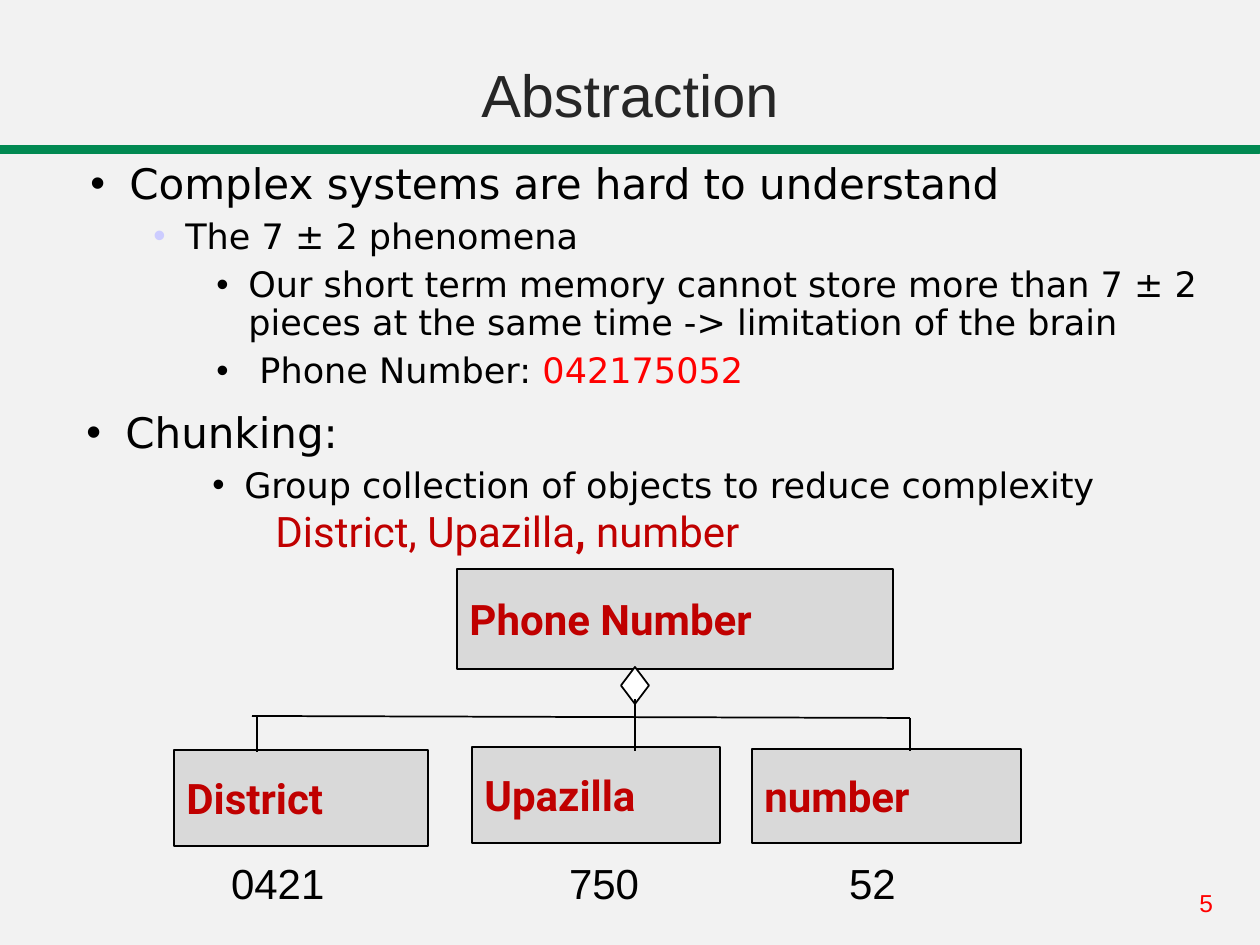
from lxml import etree
from pptx import Presentation
from pptx import util as u
from pptx.dml.color import RGBColor
from pptx.enum import shapes, text
from pptx.oxml.ns import qn

SCALE = 914400 / 126  # EMU in one px
BLACK, RED, DARK_RED = "000000", "FF0000", "C00000"


def px(length):
    return u.Emu(round(length * SCALE))


def color(hex_string):
    return RGBColor.from_string(hex_string)


def set_font(font, name, size, hex_string, bold=False):
    font.name, font.size, font.bold = name, u.Pt(size), bold
    font.color.rgb = color(hex_string)


def add_text_box(slide, box):
    frame = slide.shapes.add_textbox(*map(px, box)).text_frame
    frame.word_wrap = True
    return frame


def add_block(parent, kind, box, fill, line=BLACK, width=1):
    shape = parent.shapes.add_shape(kind, *map(px, box))
    shape.shadow.inherit = False
    shape.fill.solid()
    shape.fill.fore_color.rgb = color(fill)
    shape.line.color.rgb = color(line)
    shape.line.width = u.Pt(width)
    return shape


def add_line(parent, start, end):
    line = parent.shapes.add_connector(
        shapes.MSO_CONNECTOR.STRAIGHT, *map(px, start + end))
    line.line.color.rgb = color(BLACK)
    line.line.width = u.Pt(1)
    etree.SubElement(line._element.spPr, qn("a:effectLst"))


def set_indent(paragraph, margin, hanging, bullet_color=None):
    properties = paragraph._p.get_or_add_pPr()
    properties.set("marL", str(px(margin)))
    properties.set("indent", str(-px(hanging)))
    if bullet_color:
        holder = etree.SubElement(properties, qn("a:buClr"))
        etree.SubElement(holder, qn("a:srgbClr"), val=bullet_color)
        etree.SubElement(properties, qn("a:buFont"), typeface="Arial")
        etree.SubElement(properties, qn("a:buChar"), char="•")


def add_header(slide, box):
    left, top, width, height = box
    # Green band under the title
    add_block(slide, shapes.MSO_SHAPE.RECTANGLE, (left, top + 147, width, 6),
              "018952", "018952", 1.75)
    title = slide.shapes.title
    title.left, title.top, title.width, title.height = map(px, (left, top, width, height))
    frame = title.text_frame
    frame.text = "Abstraction"
    frame.auto_size = text.MSO_AUTO_SIZE.NONE
    frame.vertical_anchor = text.MSO_ANCHOR.BOTTOM
    paragraph = frame.paragraphs[0]
    paragraph.alignment = text.PP_ALIGN.CENTER
    set_font(paragraph.font, "Arial", 34, "262626")


def add_bullets(slide, box, items):
    """Fill a box with (level, text) items; return its text frame."""
    # level: (margin, hanging, size, space before, bullet colour)
    styles = {0: (39, 39, 24, 7, BLACK),
              1: (95, 32, 20, 6, "CCCCFF"),
              2: (158, 32, 20, 6, BLACK)}
    frame = add_text_box(slide, box)
    for index, (level, wording) in enumerate(items):
        paragraph = frame.add_paragraph() if index else frame.paragraphs[0]
        margin, hanging, size, before, bullet_color = styles[level]
        paragraph.level = level
        paragraph.line_spacing = 0.9
        paragraph.space_before = u.Pt(before)
        set_indent(paragraph, margin, hanging, bullet_color)
        paragraph.add_run().text = wording
        set_font(paragraph.font, "DejaVu Sans", size, BLACK)
    return frame


def add_complexity(slide, box):
    frame = add_bullets(slide, box, [
        (0, "Complex systems are hard to understand"),
        (1, "The 7 ± 2 phenomena"),
        (2, "Our short term memory cannot store more than 7 ± 2 pieces "
            "at the same time -> limitation of the brain"),
        (2, " Phone Number: ")])
    number = frame.paragraphs[-1].add_run()
    number.text = "042175052"
    number.font.color.rgb = color(RED)


def add_chunking(slide, box):
    frame = add_bullets(slide, box, [
        (0, "Chunking:"),
        (2, "Group collection of objects to reduce complexity")])
    paragraph = frame.add_paragraph()
    paragraph.level = 3
    set_indent(paragraph, 221, 32)
    set_font(paragraph.font, "Roboto", 24, DARK_RED)
    for wording, bold in (("District, Upazilla", False), (", ", True), ("number", False)):
        run = paragraph.add_run()
        run.text = wording
        run.font.bold = bold


def add_diagram(slide, box):
    left, top = box[:2]
    group = slide.shapes.add_group_shape()

    def at(x, y):
        return left + x, top + y

    # The whole and its parts
    for label, x, y, width, height in (
            ("Phone Number", 283, 0, 436, 100),
            ("District", 0, 181, 254, 96),
            ("Upazilla", 298, 178, 248, 96),
            ("number", 578, 180, 269, 94)):
        block = add_block(group, shapes.MSO_SHAPE.RECTANGLE,
                          at(x, y) + (width, height), "D9D9D9")
        frame = block.text_frame
        frame.text = label
        frame.vertical_anchor = text.MSO_ANCHOR.MIDDLE
        frame.paragraphs[0].alignment = text.PP_ALIGN.LEFT
        set_font(frame.paragraphs[0].font, "Roboto", 24, DARK_RED, True)

    # Aggregation diamond, stem, crossbar and drops
    add_block(group, shapes.MSO_SHAPE.DIAMOND, at(447, 98) + (28, 37), "FFFFFF")
    add_line(group, at(461, 130), at(461, 152))
    add_line(group, at(78, 147), at(736, 149))
    for x, start, end in ((83, 147, 183), (461, 147, 182), (736, 149, 182)):
        add_line(group, at(x, start), at(x, end))


def add_values(slide, box):
    frame = add_text_box(slide, box)
    frame.margin_left = px(60)
    frame.text = "0421\t750\t52"
    paragraph = frame.paragraphs[0]
    set_font(paragraph.font, "Arial", 24, BLACK)
    tabs = etree.Element(qn("a:tabLst"))
    for position in (338, 618):
        etree.SubElement(tabs, qn("a:tab"), pos=str(px(position)), algn="l")
    paragraph._p.get_or_add_pPr().insert(0, tabs)


def add_slide_number(slide, box):
    frame = add_text_box(slide, box)
    frame.text = "5"
    set_font(frame.paragraphs[0].font, "Arial", 14, RED)


def main():
    presentation = Presentation()
    presentation.slide_width, presentation.slide_height = px(1260), px(945)
    slide = presentation.slides.add_slide(presentation.slide_layouts[5])
    slide.background.fill.solid()
    slide.background.fill.fore_color.rgb = color("F2F2F2")
    add_header(slide, (0, 0, 1260, 136))
    add_slide_number(slide, (1187, 882, 73, 43))
    add_diagram(slide, (174, 569, 847, 277))
    add_chunking(slide, (74, 406, 1134, 268))
    add_complexity(slide, (78, 157, 1172, 268))
    add_values(slide, (171, 851, 849, 60))
    presentation.save("out.pptx")


if __name__ == "__main__":
    main()
